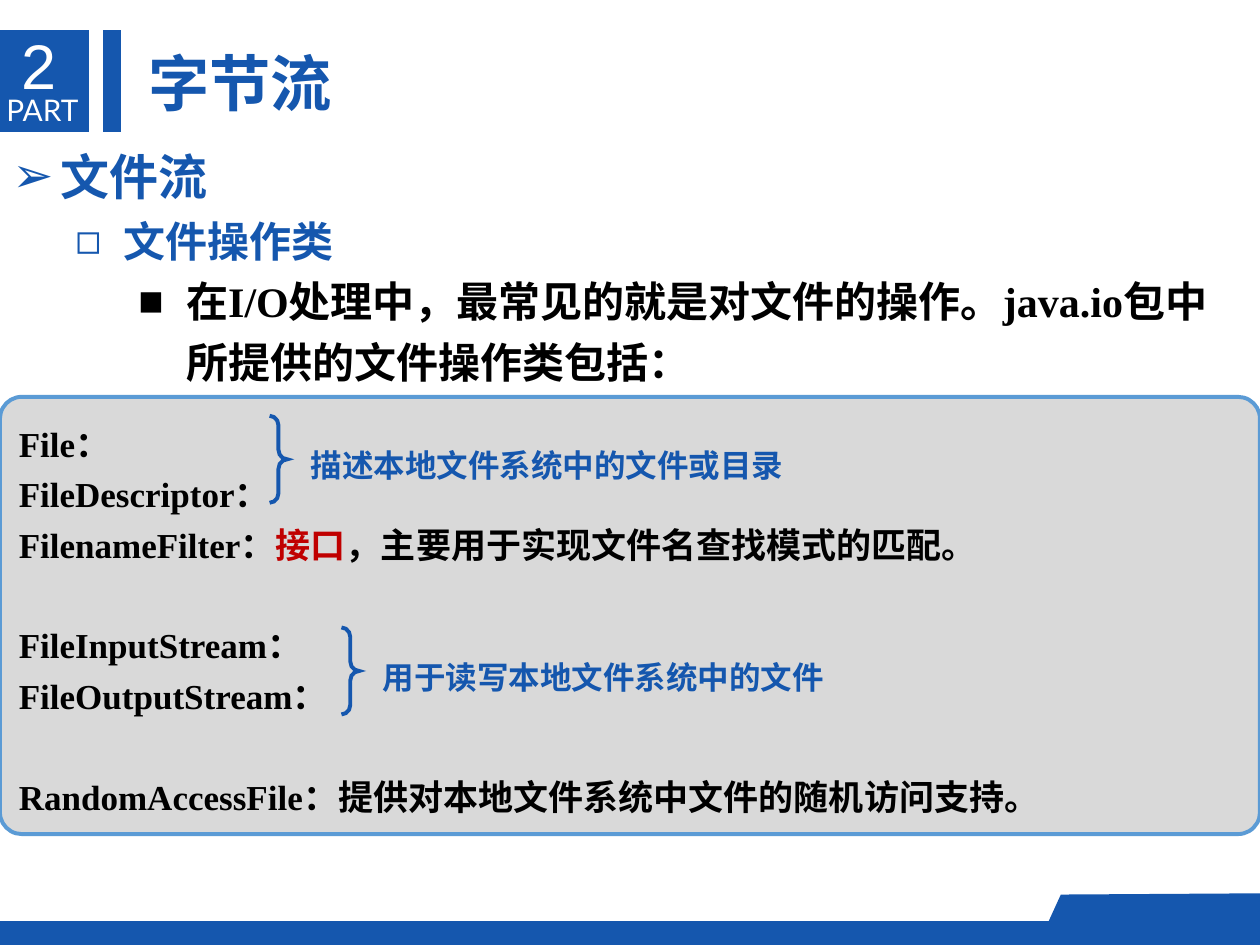
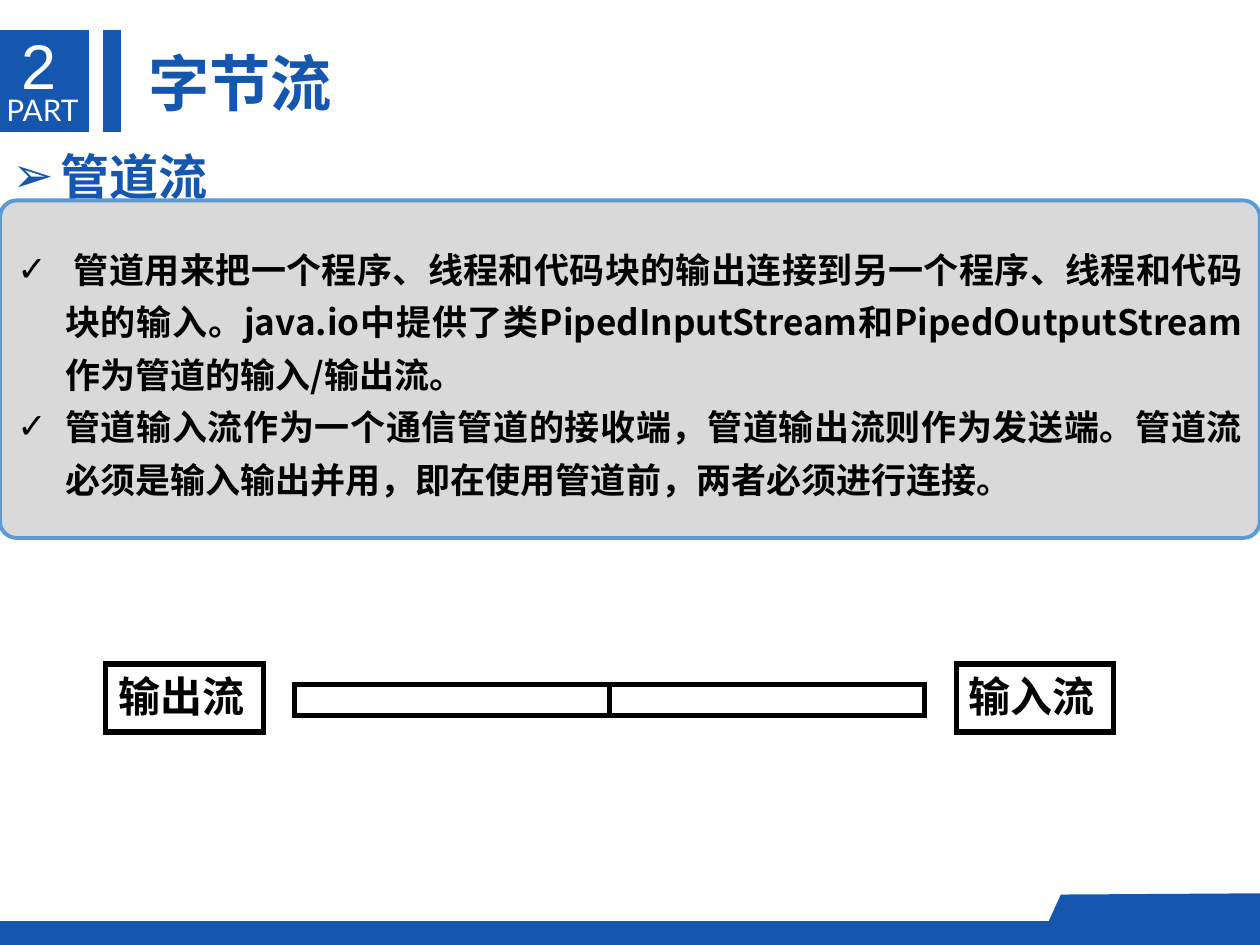
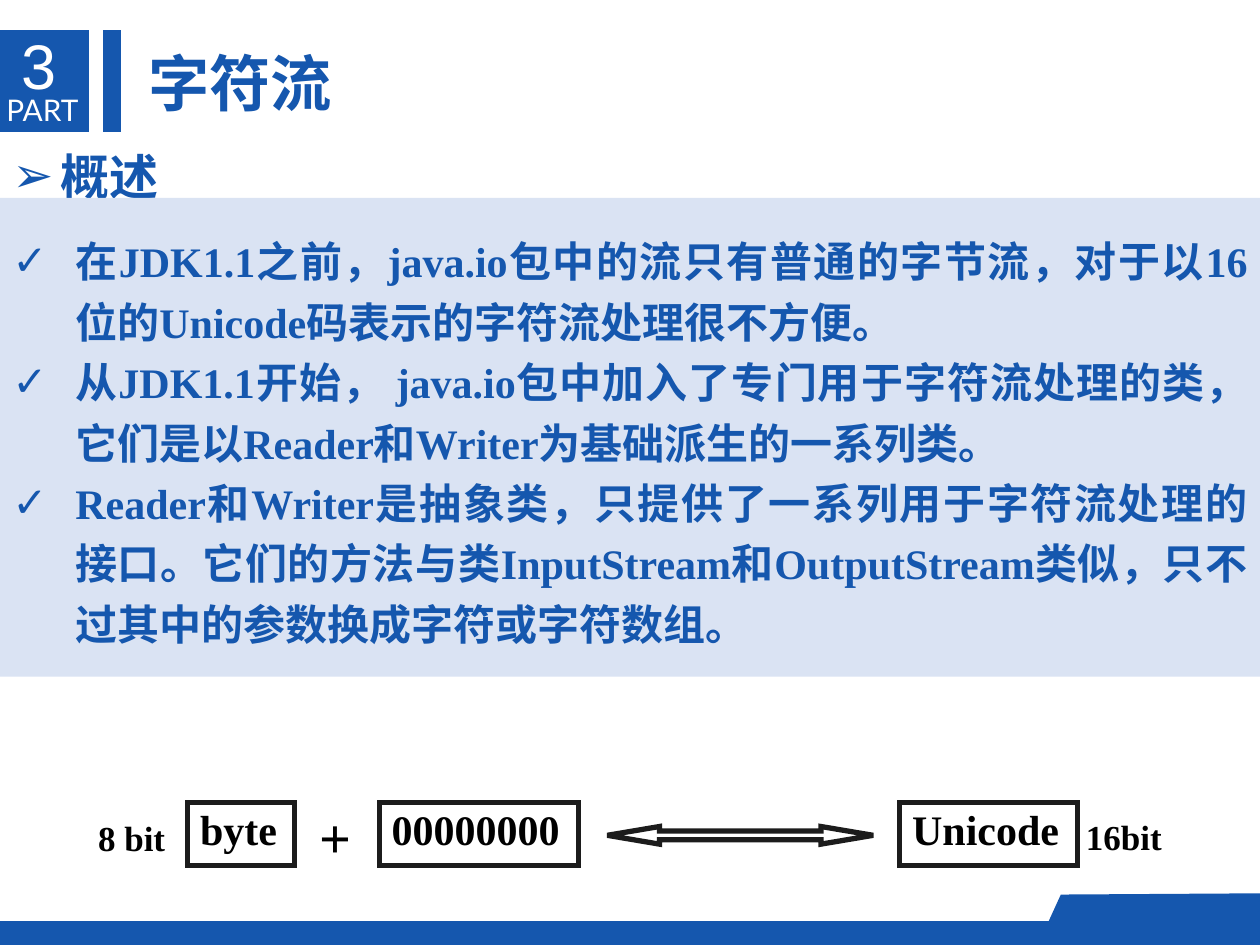
from dataclasses import dataclass
from typing import Optional, Sequence

from lxml import etree
from pptx import Presentation
from pptx.dml.color import RGBColor
from pptx.enum.shapes import MSO_SHAPE
from pptx.enum.text import MSO_ANCHOR, MSO_AUTO_SIZE, PP_ALIGN
from pptx.oxml.ns import qn
from pptx.util import Inches, Pt

BLUE = RGBColor(0x15, 0x57, 0xAE)
SKY = RGBColor(0x5B, 0x9B, 0xD5)
PALE = RGBColor(0xDA, 0xE3, 0xF3)
GREY = RGBColor(0xD9, 0xD9, 0xD9)
RED = RGBColor(0xC0, 0x00, 0x00)
INK = RGBColor(0x1C, 0x1C, 0x1C)
BLACK = RGBColor(0, 0, 0)
WHITE = RGBColor(255, 255, 255)

SANS = "Noto Sans CJK SC"
SERIF = "Times New Roman"
PLAIN = "Arial"

RECT = MSO_SHAPE.RECTANGLE
ROUND = MSO_SHAPE.ROUNDED_RECTANGLE
BLOCK = MSO_SHAPE.FLOWCHART_PROCESS
BRACE = MSO_SHAPE.LEFT_BRACE
ARROW = MSO_SHAPE.LEFT_RIGHT_ARROW
LEFT = PP_ALIGN.LEFT
FULL = PP_ALIGN.JUSTIFY
TOP = MSO_ANCHOR.TOP
MIDDLE = MSO_ANCHOR.MIDDLE
FIXED = MSO_AUTO_SIZE.NONE


@dataclass(frozen=True)
class Box:
    left: float
    top: float
    width: float
    height: float

    def lengths(self) -> list:
        return [Inches(v) for v in (self.left, self.top, self.width, self.height)]


@dataclass(frozen=True)
class Look:
    face: str
    size: float
    tone: RGBColor
    bold: bool = True


@dataclass(frozen=True)
class Para:
    text: str
    look: Look
    align: PP_ALIGN = LEFT
    space: float = 1.0
    mark: str = ""
    indent: float = 0
    hang: float = 0.38
    before: float = 0
    hot: str = ""


@dataclass(frozen=True)
class Form:
    kind: MSO_SHAPE
    box: Box
    fill: Optional[RGBColor] = None
    line: Optional[RGBColor] = None
    weight: float = 0
    turn: float = 0
    adjust: tuple = ()


PART = Look("Lato", 17, WHITE, False)
DIGIT = Look(PLAIN, 36, WHITE, False)
TITLE = Look(SANS, 35, BLUE)
HEAD = Look(SANS, 28, BLUE)
TOPIC = Look(SERIF, 24, BLUE)
BODY = Look(SERIF, 24, BLACK)
ITEM = Look(SERIF, 20, BLACK)
NOTE = Look(SERIF, 18, BLUE)
PIPE = Look(SANS, 20, BLACK)
PLUS = Look(SERIF, 32, BLACK)

FRAME = (
    Form(BLOCK, Box(0, 0.24, 0.71, 0.81), BLUE),
    Form(BLOCK, Box(0.82, 0.24, 0.14, 0.81), BLUE),
    Form(BLOCK, Box(0, 7.31, 10, 0.19), BLUE),
)
TAB = ((10, 7.45), (10, 7.09), (8.42, 7.1), (8.26, 7.45))


def add_run(para, text: str, look: Look, tone: RGBColor) -> None:
    run = para.add_run()
    run.text = text
    style = {"name": look.face, "size": Pt(look.size), "bold": look.bold}
    for key, value in style.items():
        setattr(run.font, key, value)
    run.font.color.rgb = tone
    etree.SubElement(run.font._element, qn("a:ea"), typeface=SANS)


def set_mark(para, item: Para) -> None:
    props = para._p.get_or_add_pPr()
    props.set("marL", str(Inches(item.indent)))
    props.set("indent", str(-Inches(item.hang)))
    etree.SubElement(props, qn("a:buFont"), typeface=PLAIN)
    etree.SubElement(props, qn("a:buChar"), char=item.mark)


def write(shape, paras: Sequence[Para], wrap: bool = True,
          anchor: MSO_ANCHOR = TOP, inset: bool = True) -> None:
    frame = shape.text_frame
    style = {"word_wrap": wrap, "auto_size": FIXED, "vertical_anchor": anchor}
    if not inset:
        style |= dict.fromkeys(
            ("margin_left", "margin_top", "margin_right", "margin_bottom"), 0)
    for key, value in style.items():
        setattr(frame, key, value)
    for index, item in enumerate(paras):
        para = frame.add_paragraph() if index else frame.paragraphs[0]
        para._p.get_or_add_pPr().set("hangingPunct", "0")
        if item.mark:
            set_mark(para, item)
        style = {"alignment": item.align, "line_spacing": item.space}
        if item.before:
            style["space_before"] = Pt(item.before)
        for key, value in style.items():
            setattr(para, key, value)
        parts = item.text.partition(item.hot) if item.hot else (item.text,)
        for part in parts:
            add_run(para, part, item.look, RED if part == item.hot else item.look.tone)


def add_text(slide, box: Box, paras: Sequence[Para], wrap: bool = True,
             inset: bool = True) -> None:
    write(slide.shapes.add_textbox(*box.lengths()), paras, wrap, inset=inset)


def paint(shape, form: Form) -> None:
    shape.shadow.inherit = False
    if form.fill is None:
        shape.fill.background()
    else:
        shape.fill.solid()
        shape.fill.fore_color.rgb = form.fill
    if form.line is None:
        shape.line.fill.background()
    else:
        shape.line.color.rgb = form.line
        shape.line.width = Pt(form.weight)
        edge = shape._element.spPr.find(qn("a:ln"))
        etree.SubElement(edge, qn("a:miter"), lim="800000")


def draw(slide, form: Form):
    shape = slide.shapes.add_shape(form.kind, *form.box.lengths())
    shape.rotation = form.turn
    for index, value in enumerate(form.adjust):
        shape.adjustments[index] = value
    paint(shape, form)
    return shape


def add_cell(slide, box: Box, line: RGBColor, text: str = "", space: float = 1.0) -> None:
    shape = draw(slide, Form(RECT, box, line=line, weight=3))
    if text:
        write(shape, [Para(text, BODY, space=space)], wrap=False)


def head(text: str) -> Para:
    return Para(text, HEAD, space=1.2, mark="➢", indent=0.38)


def start(deck, digit: str, title: str, paras: Sequence[Para], height: float):
    slide = deck.slides.add_slide(deck.slide_layouts[6])
    for form in FRAME:
        draw(slide, form)
    points = [(Inches(x), Inches(y)) for x, y in TAB]
    outline = slide.shapes.build_freeform(*points[0])
    outline.add_line_segments(points[1:], close=True)
    paint(outline.convert_to_shape(), Form(BLOCK, Box(0, 0, 0, 0), BLUE))
    add_text(slide, Box(0.05, 0.73, 0.6, 0.29), [Para("PART", PART)], False, False)
    add_text(slide, Box(0.07, 0.16, 0.53, 0.71), [Para(digit, DIGIT)], False)
    add_text(slide, Box(1.08, 0.31, 1.67, 0.69), [Para(title, TITLE)], False)
    add_text(slide, Box(0, 1.02, 10, height), paras)
    return slide


def file_slide(deck) -> None:
    slide = start(deck, "2", "字节流", [
        head("文件流"),
        Para("文件操作类", TOPIC, space=1.2, mark="◻", indent=0.88),
        Para("在I/O处理中，最常见的就是对文件的操作。java.io包中所提供的文件操作类包括：",
             BODY, space=1.2, mark="■", indent=1.38),
    ], 2.56)
    panel = draw(slide, Form(ROUND, Box(0, 3.15, 10, 3.47), GREY, SKY, 2.25,
                             adjust=(0.05,)))
    rows = (
        ("File：", 0, ""),
        ("FileDescriptor：", 0, ""),
        ("FilenameFilter：接口，主要用于实现文件名查找模式的匹配。", 0, "接口"),
        ("FileInputStream：", 28.8, ""),
        ("FileOutputStream：", 0, ""),
        ("RandomAccessFile：提供对本地文件系统中文件的随机访问支持。", 28.8, ""),
    )
    write(panel, [Para(text, ITEM, FULL, 1.2, before=gap, hot=hot)
                  for text, gap, hot in rows], anchor=MIDDLE)
    notes = (
        (2.14, 3.3, "描述本地文件系统中的文件或目录"),
        (2.71, 4.98, "用于读写本地文件系统中的文件"),
    )
    for left, top, text in notes:
        draw(slide, Form(BRACE, Box(left, top, 0.14, 0.69), line=BLUE, weight=2.25,
                         turn=180, adjust=(0.54, 0.5)))
        add_text(slide, Box(left + 0.23, top + 0.13, 4.13, 0.43),
                 [Para(text, NOTE, space=1.2)])


def pipe_slide(deck) -> None:
    slide = start(deck, "2", "字节流", [head("管道流")], 0.59)
    panel = draw(slide, Form(ROUND, Box(0, 1.59, 10, 2.68), GREY, SKY, 2.25,
                             adjust=(0.05,)))
    rows = (
        " 管道用来把一个程序、线程和代码块的输出连接到另一个程序、线程和代码块的输入。"
        "java.io中提供了类PipedInputStream和PipedOutputStream作为管道的输入/输出流。",
        "管道输入流作为一个通信管道的接收端，管道输出流则作为发送端。"
        "管道流必须是输入输出并用，即在使用管道前，两者必须进行连接。",
    )
    write(panel, [Para(text, PIPE, FULL, 1.25, "✓", 0.38) for text in rows],
          anchor=MIDDLE)
    for index in range(2):
        add_cell(slide, Box(2.34 + 2.5 * index, 5.43, 2.5, 0.25), BLACK)
    for left, text in ((0.84, "输出流"), (7.59, "输入流")):
        add_cell(slide, Box(left, 5.27, 1.25, 0.54), BLACK, text)


def char_slide(deck) -> None:
    slide = start(deck, "3", "字符流", [head("概述")], 1.11)
    panel = draw(slide, Form(RECT, Box(0, 1.57, 10, 3.8), PALE))
    rows = (
        "在JDK1.1之前，java.io包中的流只有普通的字节流，"
        "对于以16位的Unicode码表示的字符流处理很不方便。",
        "从JDK1.1开始， java.io包中加入了专门用于字符流处理的类，"
        "它们是以Reader和Writer为基础派生的一系列类。",
        "Reader和Writer是抽象类，只提供了一系列用于字符流处理的接口。"
        "它们的方法与类InputStream和OutputStream类似，"
        "只不过其中的参数换成字符或字符数组。",
    )
    write(panel, [Para(text, TOPIC, FULL, 1.2, "✓", 0.5, 0.5) for text in rows],
          anchor=MIDDLE)
    for left, width, text in ((1.49, 0.85, "byte"), (3.01, 1.58, "00000000"),
                              (7.14, 1.41, "Unicode")):
        add_cell(slide, Box(left, 6.37, width, 0.5), INK, text, 0.9)
    draw(slide, Form(ARROW, Box(4.82, 6.56, 2.11, 0.14), line=INK, weight=3,
                     adjust=(0.5, 2.96)))
    labels = (
        (Box(0.68, 6.47, 0.73, 0.4), "8 bit", ITEM),
        (Box(2.44, 6.38, 0.45, 0.58), "+", PLUS),
        (Box(8.52, 6.46, 0.8, 0.4), "16bit", ITEM),
    )
    for box, text, look in labels:
        add_text(slide, box, [Para(text, look, space=0.9)], False)


def main() -> None:
    deck = Presentation()
    deck.slide_width, deck.slide_height = Inches(10), Inches(7.5)
    for build in (file_slide, pipe_slide, char_slide):
        build(deck)
    deck.save("out.pptx")


if __name__ == "__main__":
    main()
